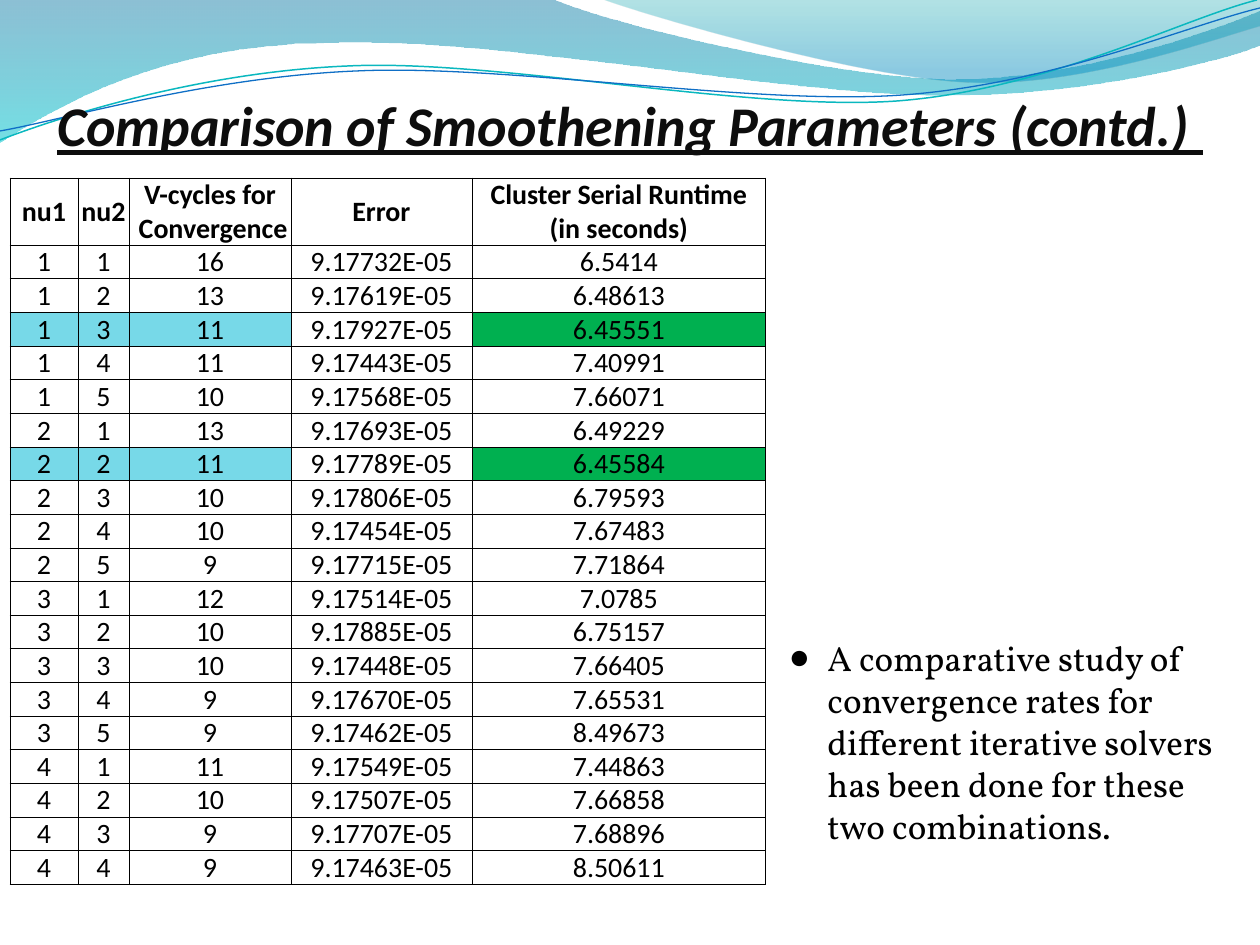
from dataclasses import dataclass
from typing import Any

from lxml.etree import SubElement
from pptx import Presentation
from pptx.dml.color import RGBColor
from pptx.enum.text import MSO_ANCHOR as Anchor, MSO_AUTO_SIZE as AutoSize, PP_ALIGN as Align
from pptx.oxml import parse_xml
from pptx.oxml.ns import nsdecls, qn
from pptx.util import Pt

PX = 914400 / 126
COLORS = {
    "deep_blue": "0074A1", "cyan": "00C6CF", "teal": "00A1A9", "sky": "008BBF",
    "teal_line": "0AB8BF", "blue_line": "0F6FC6", "title": "0D0D0D",
    "black": "000000", "combination": "77D9E8", "runtime": "00B050",
}


@dataclass(frozen=True)
class Stop:
    position: float
    color: str
    opacity: int


@dataclass(frozen=True)
class Wave:
    start: tuple[int, int]
    segments: tuple[tuple[int, ...], ...]
    stops: tuple[Stop, ...] = ()
    line_color: str = ""
    line_width: float = 0


@dataclass(frozen=True)
class Result:
    nu1: int
    nu2: int
    cycles: int
    error: str
    runtime: str
    highlighted: bool = False

    def texts(self) -> list[str]:
        return [str(self.nu1), str(self.nu2), str(self.cycles), f"{self.error}E-05", self.runtime]

    def fills(self) -> list[str]:
        if not self.highlighted:
            return [""] * 5
        return ["combination"] * 3 + ["", "runtime"]


WAVES = (
    Wave((0, 0), ((554, 0), (600, 21, 837, 79, 955, 79), (1075, 79, 1207, 33, 1260, 11),
                  (1260, 45), (1239, 55, 1096, 96, 940, 95), (783, 95, 481, 35, 324, 43),
                  (163, 45, 58, 105, 0, 142)),
         stops=(Stop(0, "deep_blue", 45), Stop(1, "cyan", 55))),
    Wave((604, 0), ((641, 14, 859, 78, 969, 82), (1079, 87, 1211, 40, 1260, 26), (1260, 0)),
         stops=(Stop(0, "teal", 30), Stop(0.8, "sky", 45))),
    Wave((0, 140), ((60, 117, 199, 72, 349, 66), (498, 59, 747, 112, 898, 101),
                    (1050, 89, 1182, 19, 1257, 0)),
         line_color="teal_line", line_width=0.85),
    Wave((0, 131), ((59, 121, 207, 77, 357, 71), (507, 64, 752, 106, 903, 95),
                    (1053, 84, 1186, 26, 1260, 8)),
         line_color="blue_line", line_width=0.75),
)

HEADERS = ["nu1", "nu2", "V-cycles for\v Convergence", "Error",
           "Cluster Serial Runtime\v(in seconds)"]
COLUMN_WIDTHS = (68, 51, 162, 181, 294)
TABLE_HEIGHT, HEADER_HEIGHT, ROW_HEIGHT = 706, 67, 26
RESULTS = (
    Result(1, 1, 16, "9.17732", "6.5414"),
    Result(1, 2, 13, "9.17619", "6.48613"),
    Result(1, 3, 11, "9.17927", "6.45551", True),
    Result(1, 4, 11, "9.17443", "7.40991"),
    Result(1, 5, 10, "9.17568", "7.66071"),
    Result(2, 1, 13, "9.17693", "6.49229"),
    Result(2, 2, 11, "9.17789", "6.45584", True),
    Result(2, 3, 10, "9.17806", "6.79593"),
    Result(2, 4, 10, "9.17454", "7.67483"),
    Result(2, 5, 9, "9.17715", "7.71864"),
    Result(3, 1, 12, "9.17514", "7.0785"),
    Result(3, 2, 10, "9.17885", "6.75157"),
    Result(3, 3, 10, "9.17448", "7.66405"),
    Result(3, 4, 9, "9.17670", "7.65531"),
    Result(3, 5, 9, "9.17462", "8.49673"),
    Result(4, 1, 11, "9.17549", "7.44863"),
    Result(4, 2, 10, "9.17507", "7.66858"),
    Result(4, 3, 9, "9.17707", "7.68896"),
    Result(4, 4, 9, "9.17463", "8.50611"),
)


def px(length: int) -> int:
    return round(length * PX)


def rgb(name: str) -> RGBColor:
    return RGBColor.from_string(COLORS[name])


def assign(target: Any, values: dict[str, Any]) -> None:
    for name, value in values.items():
        setattr(target, name, value)


def write(frame: Any, text: str, color: str, font: dict[str, Any], **layout: Any) -> Any:
    para = frame.paragraphs[0]
    para.text = text
    assign(para, layout)
    for span in para.runs:
        assign(span.font, font)
        span.font.color.rgb = rgb(color)
    return para


def bend_segments(shape: Any, wave: Wave) -> None:
    lines = iter(list(shape.element.iter(qn("a:lnTo"))))
    for segment in wave.segments:
        first = next(lines)
        if len(segment) == 2:
            continue
        curve = first.makeelement(qn("a:cubicBezTo"))
        first.addprevious(curve)
        for line in (first, next(lines), next(lines)):
            curve.append(line[0])
            line.getparent().remove(line)


def draw_wave(page: Any, wave: Wave) -> None:
    points = [(px(x), px(y)) for segment in wave.segments
              for x, y in zip(segment[::2], segment[1::2])]
    builder = page.shapes.build_freeform(*map(px, wave.start))
    builder.add_line_segments(points, close=bool(wave.stops))
    shape = builder.convert_to_shape()
    bend_segments(shape, wave)
    shape.shadow.inherit = False
    if not wave.stops:
        shape.fill.background()
        shape.line.color.rgb = rgb(wave.line_color)
        shape.line.width = Pt(wave.line_width)
        return
    shape.line.fill.background()
    shape.fill.gradient()
    shape.fill.gradient_angle = 270
    for stop, target in zip(wave.stops, shape.fill.gradient_stops):
        target.position = stop.position
        target.color.rgb = rgb(stop.color)
    for stop, color in zip(wave.stops, shape.element.iter(qn("a:srgbClr"))):
        SubElement(color, qn("a:alpha"), val=str(stop.opacity * 1000))


def draw_title(page: Any) -> None:
    title = page.shapes.title
    title.element.getparent().append(title.element)
    assign(title, {"left": 0, "top": 0, "width": px(1260), "height": px(158)})
    assign(title.text_frame, {
        "vertical_anchor": Anchor.BOTTOM, "auto_size": AutoSize.NONE, "word_wrap": True,
        "margin_left": 0, "margin_right": 0, "margin_bottom": 0, "margin_top": px(6)})
    write(title.text_frame, "Comparison of Smoothening Parameters (contd.) ", "title",
          {"name": "Calibri", "size": Pt(32), "bold": True, "italic": True, "underline": True},
          alignment=Align.CENTER)


def draw_conclusion(page: Any) -> None:
    box = page.shapes.add_textbox(px(777), px(630), px(483), px(252))
    box.text_frame.word_wrap = True
    para = write(box.text_frame,
                 "A comparative study of convergence rates for different iterative solvers "
                 "has been done for these two combinations.",
                 "black", {"name": "Vollkorn", "size": Pt(20)}, space_before=Pt(4))
    properties = para._p.get_or_add_pPr()
    properties.set("marL", str(px(38)))
    properties.set("indent", str(-px(38)))
    color = SubElement(properties, qn("a:buClr"))
    SubElement(color, qn("a:srgbClr"), val=COLORS["black"])
    SubElement(properties, qn("a:buSzPct"), val="95000")
    SubElement(properties, qn("a:buFont"), typeface="Calibri")
    SubElement(properties, qn("a:buChar"), char="●")


def draw_cell(cell: Any, text: str, fill: str, header: bool) -> None:
    assign(cell, {"margin_left": 0, "margin_right": 0, "margin_top": 0, "margin_bottom": 0,
                  "vertical_anchor": Anchor.MIDDLE if header else Anchor.BOTTOM})
    write(cell.text_frame, text, "black",
          {"name": "Calibri", "size": Pt(16), "bold": header}, alignment=Align.CENTER)
    if fill:
        cell.fill.solid()
        cell.fill.fore_color.rgb = rgb(fill)
    else:
        cell.fill.background()
    for index, side in enumerate("LRTB"):
        cell._tc.get_or_add_tcPr().insert(index, parse_xml(
            f'<a:ln{side} {nsdecls("a")} w="{Pt(0.5)}"><a:solidFill>'
            f'<a:srgbClr val="{COLORS["black"]}"/></a:solidFill></a:ln{side}>'))


def draw_results(page: Any) -> None:
    frame = page.shapes.add_table(len(RESULTS) + 1, len(HEADERS), px(10), px(178),
                                  px(sum(COLUMN_WIDTHS)), px(TABLE_HEIGHT))
    table = frame.table
    assign(table, {"first_row": False, "horz_banding": False})
    for column, width in zip(table.columns, COLUMN_WIDTHS):
        column.width = px(width)
    rows = [(HEADERS, [""] * 5)] + [(result.texts(), result.fills()) for result in RESULTS]
    for index, (row, (texts, fills)) in enumerate(zip(table.rows, rows)):
        row.height = px(ROW_HEIGHT if index else HEADER_HEIGHT)
        for cell, text, fill in zip(row.cells, texts, fills):
            draw_cell(cell, text, fill, header=index == 0)
    frame.height = px(TABLE_HEIGHT)


def main() -> None:
    deck = Presentation()
    assign(deck, {"slide_width": px(1260), "slide_height": px(945)})
    page = deck.slides.add_slide(deck.slide_layouts[5])
    for wave in WAVES:
        draw_wave(page, wave)
    draw_title(page)
    draw_conclusion(page)
    draw_results(page)
    deck.save("out.pptx")


if __name__ == "__main__":
    main()
